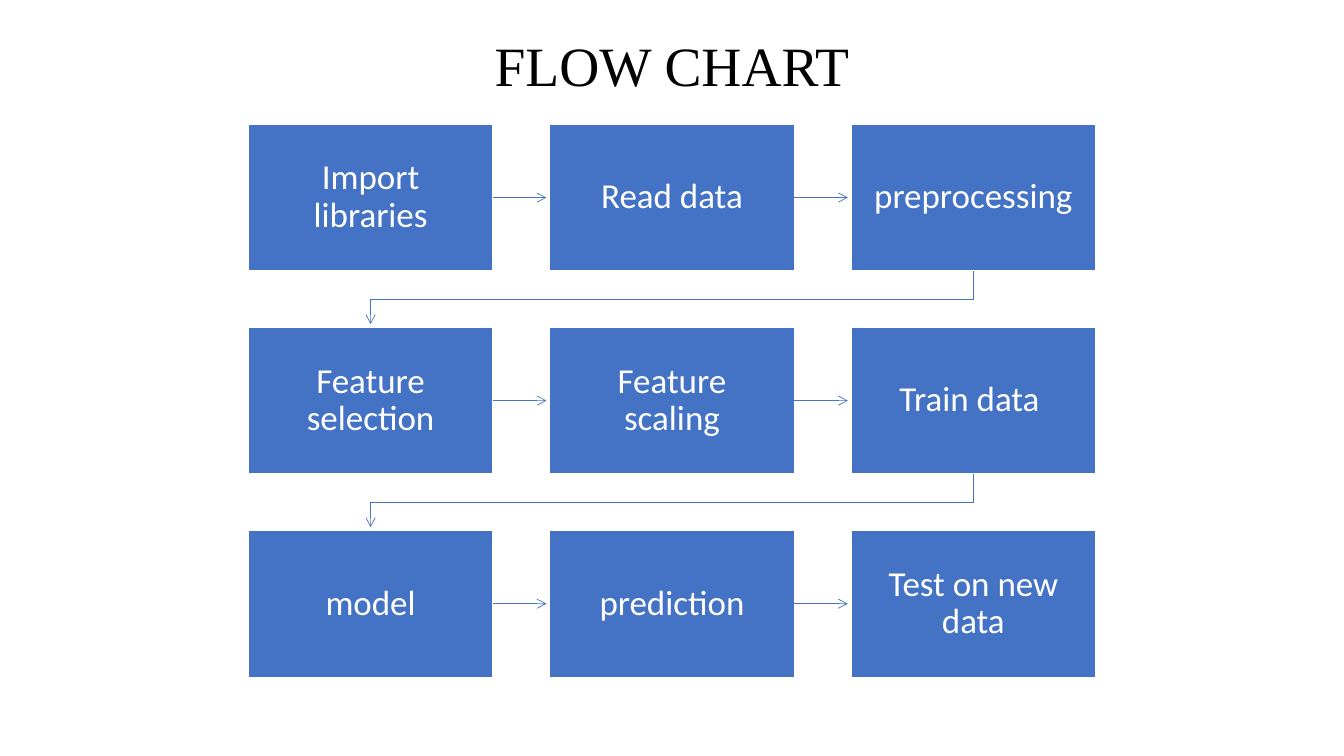
from pptx import Presentation
from pptx.dml.color import RGBColor
from pptx.enum.shapes import MSO_CONNECTOR, MSO_SHAPE
from pptx.enum.text import MSO_ANCHOR, PP_ALIGN
from pptx.oxml.ns import qn
from pptx.util import Inches, Pt
from lxml.etree import SubElement

BLUE = RGBColor(0x44, 0x72, 0xC4)
WHITE = RGBColor(0xFF, 0xFF, 0xFF)
BLACK = RGBColor(0, 0, 0)

STEPS = [
    ["Import libraries", "Read data", "preprocessing"],
    ["Feature selection", "Feature scaling", "Train data "],
    ["model", "prediction", "Test on new data"],
]

prs = Presentation()
prs.slide_width, prs.slide_height = Inches(13.33), Inches(7.5)
s = prs.slides.add_slide(prs.slide_layouts[6])

# Grid: three columns centred on the slide, three rows below the title
W, H = Inches(2.43), Inches(1.46)
COL, ROW = int(W * 1.23), int(H * 1.38)
LEFT = (prs.slide_width - W) // 2 - COL
TOP = Inches(1.23)
TIP_GAP = Inches(0.03)


def write(tf, text, anchor, font):
    tf.word_wrap = True
    tf.vertical_anchor = anchor
    p = tf.paragraphs[0]
    p.alignment, p.line_spacing = PP_ALIGN.CENTER, 0.9
    r = p.add_run()
    r.text = text
    r.font.color.rgb = font.pop("color")
    for name, value in font.items():
        setattr(r.font, name, value)


def style_arrow(arrow):
    arrow.line.color.rgb = BLUE
    arrow.line.width = Pt(0.5)
    ln = arrow.line._get_or_add_ln()
    SubElement(ln, qn("a:tailEnd"), type="arrow")
    if arrow._element.spPr.find(qn("a:effectLst")) is None:
        SubElement(arrow._element.spPr, qn("a:effectLst"))


# Title
title = s.shapes.add_textbox(Inches(1.68), Inches(0.22), Inches(9.97), Inches(0.81))
write(title.text_frame, "FLOW CHART", MSO_ANCHOR.BOTTOM,
      {"name": "Times New Roman", "size": Pt(39.6), "color": BLACK})

for row, labels in enumerate(STEPS):
    y = TOP + row * ROW
    for col, label in enumerate(labels):
        x = LEFT + col * COL

        # Step box
        sp = s.shapes.add_shape(MSO_SHAPE.RECTANGLE, x, y, W, H)
        sp.shadow.inherit = False
        sp.fill.solid()
        sp.fill.fore_color.rgb = BLUE
        sp.line.color.rgb = WHITE
        sp.line.width = Pt(1)
        tf = sp.text_frame
        for side in ("left", "top", "right", "bottom"):
            setattr(tf, f"margin_{side}", Inches(0.19))
        write(tf, label, MSO_ANCHOR.MIDDLE,
              {"name": "Calibri", "size": Pt(25), "color": WHITE})

        # Arrow to the next box in the row
        if col < len(labels) - 1:
            mid = y + H // 2
            arrow = s.shapes.add_connector(
                MSO_CONNECTOR.STRAIGHT, x + W, mid, x + COL - TIP_GAP, mid)
            style_arrow(arrow)

    # Bent arrow down to the first box of the next row
    if row < len(STEPS) - 1:
        start, end = LEFT + 2 * COL + W // 2, LEFT + W // 2
        bend = y + (H + ROW) // 2
        fb = s.shapes.build_freeform(start, y + H)
        fb.add_line_segments(
            [(start, bend), (end, bend), (end, y + ROW - TIP_GAP)], close=False)
        turn = fb.convert_to_shape()
        turn.shadow.inherit = False
        turn.fill.background()
        style_arrow(turn)

prs.save("out.pptx")
